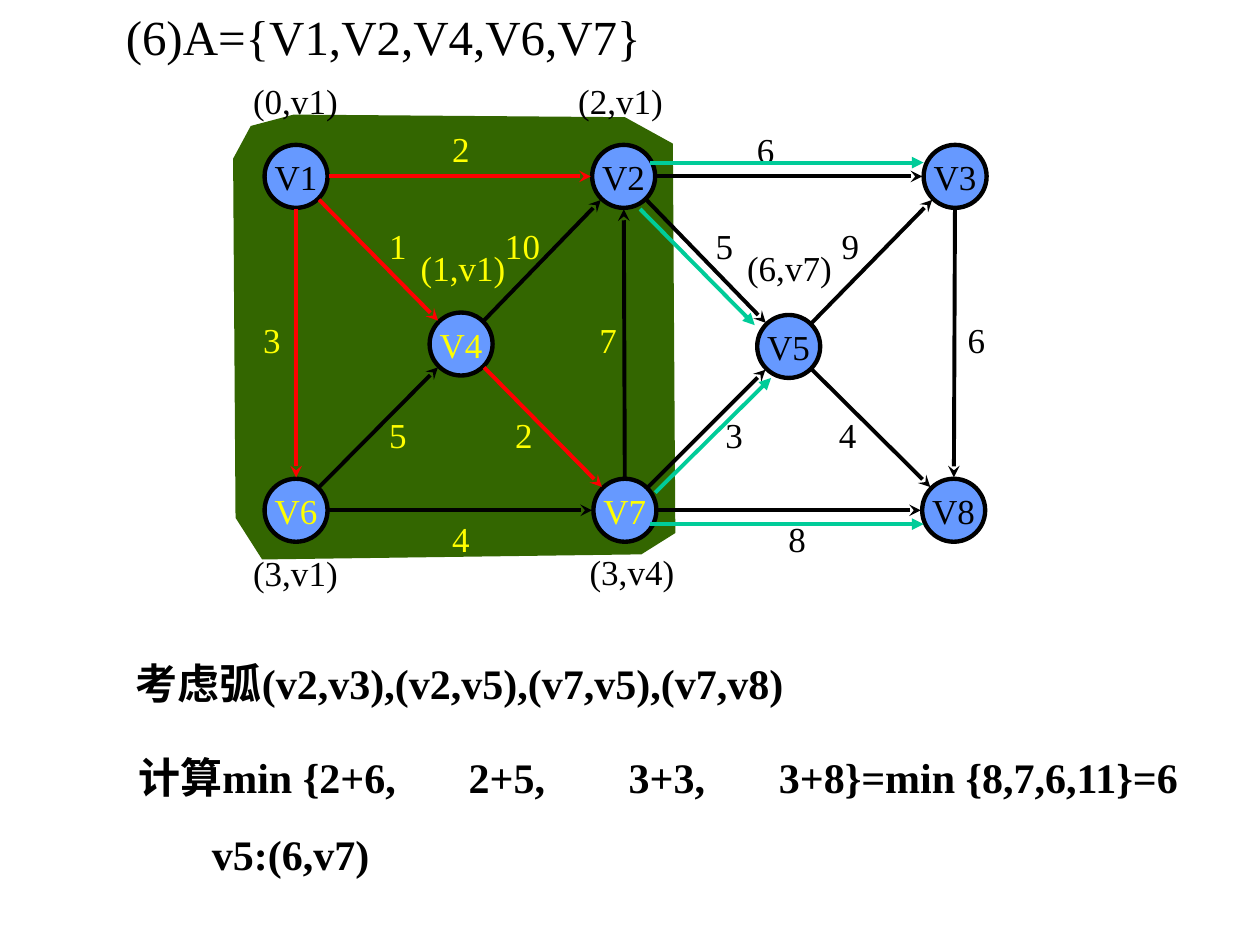
"""Builds a slide showing step six of a shortest-path labelling on a directed graph."""
from math import hypot

from lxml.etree import SubElement
from pptx import Presentation
from pptx.dml.color import RGBColor
from pptx.enum.shapes import MSO_CONNECTOR, MSO_SHAPE
from pptx.enum.text import MSO_ANCHOR, PP_ALIGN
from pptx.oxml.ns import qn
from pptx.util import Pt

BLACK = RGBColor(0x00, 0x00, 0x00)
YELLOW = RGBColor(0xFF, 0xFF, 0x00)
RED = RGBColor(0xFF, 0x00, 0x00)
TEAL = RGBColor(0x00, 0xCC, 0x99)
BLUE = RGBColor(0x66, 0x99, 0xFF)
GREEN = RGBColor(0x33, 0x66, 0x00)
FONT = "Times New Roman"
RADIUS = 18
ARC_GAP = 18.8

REGION = [(167.8, 65.5), (357.1, 67), (384.5, 82.1), (385.9, 304.6), (366.5, 316.8),
          (149.8, 319.7), (134.6, 295.9), (133.2, 90.7), (143.3, 72)]
NODES = {
    "V1": (169.2, 100.8, BLACK), "V2": (356.4, 100.8, BLACK), "V3": (545.8, 100.8, BLACK),
    "V4": (263.5, 196.6, YELLOW), "V5": (450.7, 198, BLACK),
    "V6": (169.2, 291.6, YELLOW), "V7": (357.1, 291.6, YELLOW), "V8": (545, 291.6, BLACK),
}
ARCS = [
    ("V1", "V2", RED), ("V2", "V3", BLACK), ("V1", "V6", RED), ("V6", "V7", BLACK),
    ("V7", "V8", BLACK), ("V3", "V8", BLACK), ("V1", "V4", RED), ("V4", "V7", RED),
    ("V6", "V4", BLACK), ("V4", "V2", BLACK), ("V7", "V2", BLACK), ("V2", "V5", BLACK),
    ("V5", "V3", BLACK), ("V5", "V8", BLACK), ("V7", "V5", BLACK),
]
CANDIDATES = [(371.5, 92.9, 527.8, 92.9), (365.8, 119.5, 431.3, 185.8),
              (371.5, 299.5, 527.8, 299.5), (374.4, 281.5, 440.6, 216)]
WEIGHTS = [
    ("2", 251.3, 69.1, YELLOW), ("6", 425.5, 69.8, BLACK),
    ("1", 215.3, 124.6, YELLOW), ("10", 281.5, 124.6, YELLOW),
    ("5", 401.8, 124.6, BLACK), ("9", 473.8, 124.6, BLACK),
    ("3", 143.3, 178.6, YELLOW), ("7", 335.5, 178.6, YELLOW), ("6", 545.8, 178.6, BLACK),
    ("5", 215.3, 232.6, YELLOW), ("2", 287.3, 232.6, YELLOW),
    ("3", 407.5, 232.6, BLACK), ("4", 472.3, 232.6, BLACK),
    ("4", 251.3, 292.3, YELLOW), ("8", 443.5, 292.3, BLACK),
]
VERTEX_LABELS = [
    ("(0,v1)", 137.5, 41.8, BLACK), ("(2,v1)", 323.3, 41.8, BLACK),
    ("(1,v1)", 233.3, 137.5, YELLOW), ("(6,v7)", 419.8, 137.5, BLACK),
    ("(3,v1)", 137.5, 311.8, BLACK), ("(3,v4)", 329.8, 311, BLACK),
]
TITLE = "(6)A={V1,V2,V4,V6,V7}"
CONSIDER = "考虑弧(v2,v3),(v2,v5),(v7,v5),(v7,v8)"
COMPUTE = "计算min {2+6,\t2+5,\t3+3,\t3+8}=min {8,7,6,11}=6"
RESULT = "v5:(6,v7)"
TERM_STOPS = [188.8, 280.2, 366]
RESULT_INDENT = 42


def style_runs(para, size, color, bold=False):
    for span in para.runs:
        span.font.name = FONT
        span.font.size = Pt(size)
        span.font.bold = bold
        span.font.color.rgb = color


def add_text(page, lines, left, top, width, height, size=20, color=BLACK, bold=False):
    box = page.shapes.add_textbox(Pt(left), Pt(top), Pt(width), Pt(height))
    frame = box.text_frame
    frame.word_wrap = True
    frame.text = "\n".join(lines)
    for para in frame.paragraphs:
        style_runs(para, size, color, bold)
    return frame.paragraphs


def add_node(page, name, center_x, center_y, color):
    node = page.shapes.add_shape(MSO_SHAPE.OVAL, Pt(center_x - RADIUS), Pt(center_y - RADIUS),
                                 Pt(2 * RADIUS), Pt(2 * RADIUS))
    node.shadow.inherit = False
    node.fill.solid()
    node.fill.fore_color.rgb = BLUE
    node.line.color.rgb = BLACK
    node.line.width = Pt(2.5)
    frame = node.text_frame
    frame.word_wrap = False
    frame.vertical_anchor = MSO_ANCHOR.MIDDLE
    frame.text = name
    frame.paragraphs[0].alignment = PP_ALIGN.CENTER
    style_runs(frame.paragraphs[0], 20, color)


def add_arrow(page, ends, color, head):
    arrow = page.shapes.add_connector(MSO_CONNECTOR.STRAIGHT, *[Pt(value) for value in ends])
    arrow.line.color.rgb = color
    arrow.line.width = Pt(2.25)
    SubElement(arrow.line._get_or_add_ln(), qn("a:tailEnd"), type=head)
    SubElement(arrow._element.spPr, qn("a:effectLst"))


def arc_ends(start, end):
    (x1, y1, _), (x2, y2, _) = NODES[start], NODES[end]
    length = hypot(x2 - x1, y2 - y1)
    step_x, step_y = ARC_GAP * (x2 - x1) / length, ARC_GAP * (y2 - y1) / length
    return x1 + step_x, y1 + step_y, x2 - step_x, y2 - step_y


def add_region(page):
    builder = page.shapes.build_freeform(Pt(REGION[0][0]), Pt(REGION[0][1]))
    builder.add_line_segments([(Pt(x), Pt(y)) for x, y in REGION[1:]], close=True)
    region = builder.convert_to_shape()
    region.shadow.inherit = False
    region.fill.solid()
    region.fill.fore_color.rgb = GREEN
    region.line.fill.background()


def add_calculation(page):
    compute, result = add_text(page, [COMPUTE, RESULT], 72, 426.2, 648, 80, 24, bold=True)
    stops = SubElement(compute._p.get_or_add_pPr(), qn("a:tabLst"))
    for stop in TERM_STOPS:
        SubElement(stops, qn("a:tab"), pos=str(int(Pt(stop))), algn="l")
    result._p.get_or_add_pPr().set("marL", str(int(Pt(RESULT_INDENT))))
    result.space_before = Pt(15)


def main():
    deck = Presentation()
    deck.slide_width, deck.slide_height = Pt(720), Pt(540)
    page = deck.slides.add_slide(deck.slide_layouts[6])
    add_region(page)
    for name, (center_x, center_y, color) in NODES.items():
        add_node(page, name, center_x, center_y, color)
    for start, end, color in ARCS:
        add_arrow(page, arc_ends(start, end), color, "stealth")
    for text, left, top, color in WEIGHTS:
        add_text(page, [text], left, top, 24 + 6 * len(text), 31.5, color=color)
    for text, left, top, color in VERTEX_LABELS:
        add_text(page, [text], left, top, 70, 31.5, color=color)
    for ends in CANDIDATES:
        add_arrow(page, ends, TEAL, "triangle")
    add_text(page, [TITLE], 64.8, 0, 576, 41, 28)
    add_text(page, [CONSIDER], 70.6, 372.2, 601.2, 36, 24, bold=True)
    add_calculation(page)
    deck.save("out.pptx")


if __name__ == "__main__":
    main()
